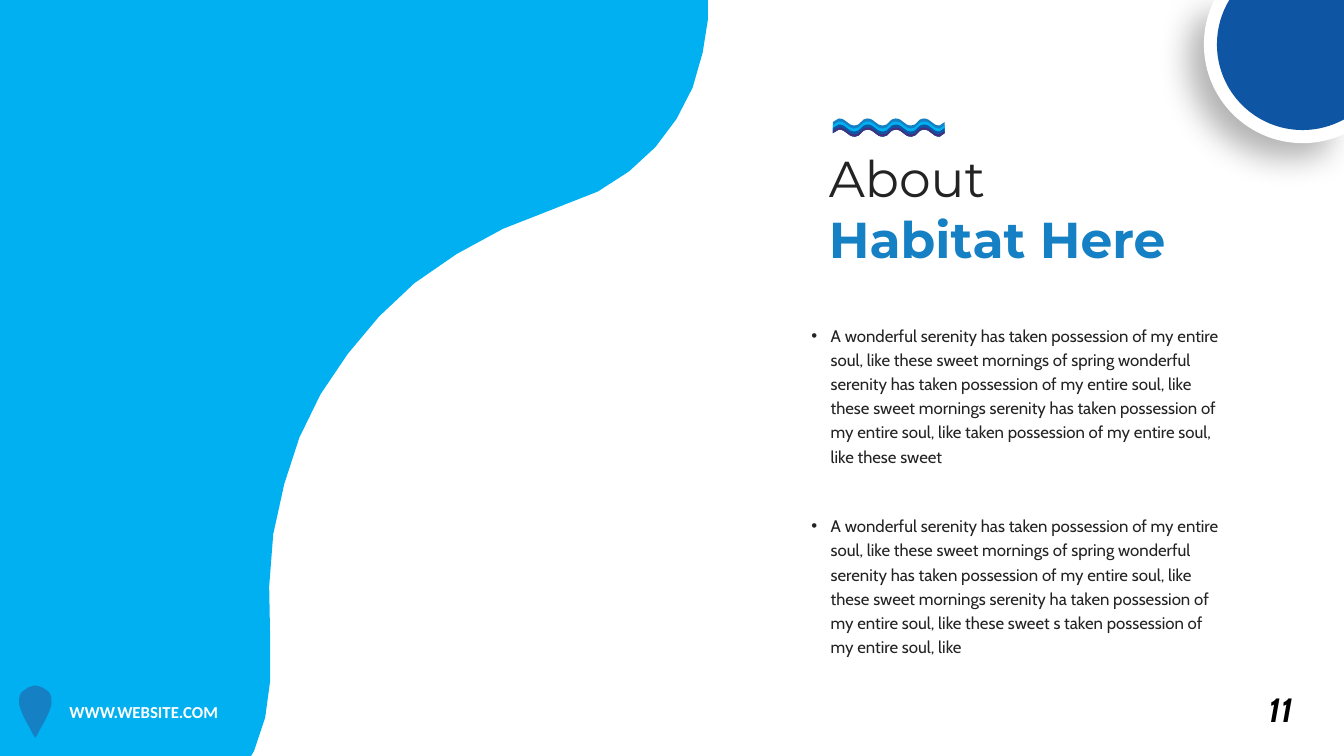
import math
from dataclasses import dataclass

import pptx
import pptx.dml.color
import pptx.enum.text
import pptx.oxml
import pptx.oxml.ns
import pptx.util
from pptx.util import Inches

WIDTH, HEIGHT = 13.33, 7.5


@dataclass(frozen=True)
class Theme:
    """Colours, fonts and type sizes of the slide."""
    white: str = "FFFFFF"
    black: str = "000000"
    ink: str = "232323"
    sky: str = "00B0F0"
    blue: str = "1580C4"
    navy: str = "0E55A3"
    purple: str = "4A2C7B"
    title_font: str = "Montserrat"
    body_font: str = "Cabin"
    footer_font: str = "Calibri"
    title_size: int = 36
    number_size: int = 24
    body_size: int = 12


THEME = Theme()

BLOB_EDGE = [
    (7.02, 0), (7.02, 0.2), (6.97, 0.52), (6.87, 0.87), (6.71, 1.18), (6.5, 1.46),
    (6.24, 1.7), (5.93, 1.9), (5.55, 2.05), (5.5, 2.07), (4.99, 2.27), (4.53, 2.52),
    (4.11, 2.81), (3.76, 3.14), (3.45, 3.51), (3.18, 3.91), (2.97, 4.34), (2.82, 4.8),
    (2.71, 5.3), (2.67, 5.82), (2.68, 6.37), (2.68, 6.75), (2.63, 7.12), (2.52, 7.45),
    (2.49, 7.5),
]
PIN_CENTRE = 0.35
PIN_PROFILE = [
    (0, 6.8), (0.04, 6.81), (0.07, 6.82), (0.1, 6.84), (0.13, 6.86), (0.15, 6.89),
    (0.16, 6.93), (0.16, 6.99), (0.14, 7.05), (0.12, 7.1), (0.09, 7.16),
    (0.05, 7.23), (0.02, 7.29), (0, 7.32),
]
BULLETS = [
    "A wonderful serenity has taken possession of my entire soul, like these sweet "
    "mornings of spring wonderful serenity has taken possession of my entire soul, "
    "like these sweet mornings serenity has taken possession of my entire soul, "
    "like taken possession of my entire soul, like these sweet",
    "A wonderful serenity has taken possession of my entire soul, like these sweet "
    "mornings of spring wonderful serenity has taken possession of my entire soul, "
    "like these sweet mornings serenity ha taken possession of my entire soul, "
    "like these sweet s taken possession of my entire soul, like",
]


def rgb(colour):
    """Turn a hex string into a colour object."""
    return pptx.dml.color.RGBColor.from_string(colour)


def bend_lines(shape, segments):
    """Merge the three lines of each curved segment into one Bezier curve."""
    qn = pptx.oxml.ns.qn
    lines = iter(list(shape._element.iter(qn("a:lnTo"))))
    for segment in segments:
        first, *others = [next(lines) for _ in segment]
        if others:
            first.tag = qn("a:cubicBezTo")
            for other in others:
                first.append(other[0])
                other.getparent().remove(other)


def add_outline(shapes, start, segments, colour):
    """Add a filled outline; a segment has one point (line) or three (curve)."""
    points = [(Inches(x), Inches(y)) for segment in segments for x, y in segment]
    builder = shapes.build_freeform(Inches(start[0]), Inches(start[1]))
    builder.add_line_segments(points, close=False)
    builder.add_line_segments([], close=True)
    shape = builder.convert_to_shape()
    bend_lines(shape, segments)
    shape.fill.solid()
    shape.fill.fore_color.rgb = rgb(colour)
    shape.line.fill.background()
    shape.shadow.inherit = False
    return shape


def add_polygon(shapes, points, colour):
    """Add a filled outline with straight sides."""
    return add_outline(shapes, points[0], [[point] for point in points[1:]], colour)


def add_soft_shadow(shape):
    """Cast a soft shadow towards the lower left."""
    effects = shape._element.spPr.find(pptx.oxml.ns.qn("a:effectLst"))
    effects.append(pptx.oxml.parse_xml(
        f'<a:outerShdw {pptx.oxml.ns.nsdecls("a")} blurRad="{pptx.util.Pt(23)}" '
        f'dist="{pptx.util.Pt(15)}" dir="8100000" algn="tr" rotWithShape="0">'
        f'<a:srgbClr val="{THEME.black}"><a:alpha val="29000"/></a:srgbClr>'
        '</a:outerShdw>'))


def add_corner_disc(shapes, radius, colour):
    """Add the part of a disc that lies within the top right page corner."""
    centre_x, centre_y = 12.92, 0.44

    def spot(angle, offset=0):
        """Return the point at an angle, moved along the tangent."""
        return (centre_x + radius * (math.cos(angle) - offset * math.sin(angle)),
                centre_y + radius * (math.sin(angle) + offset * math.cos(angle)))

    angles = [math.acos((WIDTH - centre_x) / radius), math.pi / 2, math.pi,
              math.pi + math.asin(centre_y / radius)]
    segments = []
    for begin, end in zip(angles, angles[1:]):
        handle = 4 / 3 * math.tan((end - begin) / 4)
        segments.append([spot(begin, handle), spot(end, -handle), spot(end)])
    return add_outline(shapes, spot(angles[0]), segments + [[(WIDTH, 0)]], colour)


def add_corner_badge(page):
    """Add the white ring and navy disc in the corner."""
    badge = page.shapes.add_group_shape()
    add_soft_shadow(add_corner_disc(badge.shapes, 0.98, THEME.white))
    add_corner_disc(badge.shapes, 0.85, THEME.navy)


def wave_knots(middle):
    """Return the ends, crests and troughs of a wave around a height."""
    knots = [(8.26, middle)]
    for crest in range(4):
        x = 8.32 + 0.28 * crest
        knots += [(x, middle - 0.035), (x + 0.16, middle + 0.035)]
    return knots + [(9.37, middle)]


def wave_curves(knots):
    """Join knots by curves that lie flat at each knot."""
    return [[((x1 + x2) / 2, y1), ((x1 + x2) / 2, y2), (x2, y2)]
            for (x1, y1), (x2, y2) in zip(knots, knots[1:])]


def add_waves(page):
    """Stack four wave bands that share one lower edge."""
    waves = page.shapes.add_group_shape()
    bottom = wave_knots(1.32)[::-1]
    colours = (THEME.blue, THEME.sky, THEME.navy, THEME.purple)
    for row, colour in enumerate(colours):
        top = wave_knots(1.21 + 0.03 * row)
        segments = wave_curves(top) + [[bottom[0]]] + wave_curves(bottom)
        add_outline(waves.shapes, top[0], segments, colour)


def add_pin(page):
    """Add the map pin by mirroring its right profile."""
    right = [(PIN_CENTRE + dx, y) for dx, y in PIN_PROFILE]
    left = [(PIN_CENTRE - dx, y) for dx, y in PIN_PROFILE[-2:0:-1]]
    add_polygon(page.shapes, right + left, THEME.blue)


def format_para(para, font, size, colour, bold=False, italic=False):
    """Set the look of every run in a paragraph."""
    for span in para.runs:
        span.font.name = font
        span.font.size = pptx.util.Pt(size)
        span.font.color.rgb = rgb(colour)
        span.font.bold = bold
        span.font.italic = italic


def add_text(page, text, bounds, font, size, colour, wrap=True, **style):
    """Add a one-paragraph text box and return its paragraph."""
    box = page.shapes.add_textbox(*map(Inches, bounds))
    frame = box.text_frame
    frame.text = text
    frame.word_wrap = wrap
    frame.auto_size = pptx.enum.text.MSO_AUTO_SIZE.SHAPE_TO_FIT_TEXT
    para = frame.paragraphs[0]
    format_para(para, font, size, colour, **style)
    return para


def add_bullet(page, text, top):
    """Add a bulleted paragraph in the body column."""
    para = add_text(page, text, (7.95, top, 4.32, 1.53),
                    THEME.body_font, THEME.body_size, THEME.ink)
    para.line_spacing = 1.2
    props = para._p.get_or_add_pPr()
    props.set("marL", str(Inches(0.19)))
    props.set("indent", str(Inches(-0.19)))
    namespace = pptx.oxml.ns.nsdecls("a")
    props.append(pptx.oxml.parse_xml(f'<a:buFont {namespace} typeface="Arial"/>'))
    props.append(pptx.oxml.parse_xml(f'<a:buChar {namespace} char="•"/>'))


def place_title(page):
    """Position the title and style its two lines."""
    title = page.shapes.title
    title.left, title.top = Inches(8.12), Inches(1.41)
    title.width, title.height = Inches(3.77), Inches(1.31)
    frame = title.text_frame
    frame.text = "About\nHabitat Here"
    frame.word_wrap = True
    frame.auto_size = pptx.enum.text.MSO_AUTO_SIZE.SHAPE_TO_FIT_TEXT
    frame.vertical_anchor = pptx.enum.text.MSO_ANCHOR.TOP
    for para, colour, bold in zip(frame.paragraphs, (THEME.ink, THEME.blue), (False, True)):
        para.alignment = pptx.enum.text.PP_ALIGN.LEFT
        para.line_spacing = 1.0
        para.space_before = pptx.util.Pt(0)
        format_para(para, THEME.title_font, THEME.title_size, colour, bold)


def main():
    """Build the slide and save the deck."""
    deck = pptx.Presentation()
    deck.slide_width, deck.slide_height = Inches(WIDTH), Inches(HEIGHT)
    page = deck.slides.add_slide(deck.slide_layouts[5])
    add_polygon(page.shapes, [(0, 0)] + BLOB_EDGE + [(0, HEIGHT)], THEME.sky)
    add_corner_badge(page)
    add_text(page, "11", (12.48, 6.79, 0.59, 0.5), THEME.body_font,
             THEME.number_size, THEME.black, wrap=False, bold=True, italic=True)
    add_pin(page)
    add_text(page, "WWW.WEBSITE.COM", (0.59, 6.91, 2.53, 0.3), THEME.footer_font,
             THEME.body_size, THEME.white, bold=True)
    place_title(page)
    add_waves(page)
    for row, text in enumerate(BULLETS):
        add_bullet(page, text, 3.14 + 1.89 * row)
    deck.save("out.pptx")


main()
